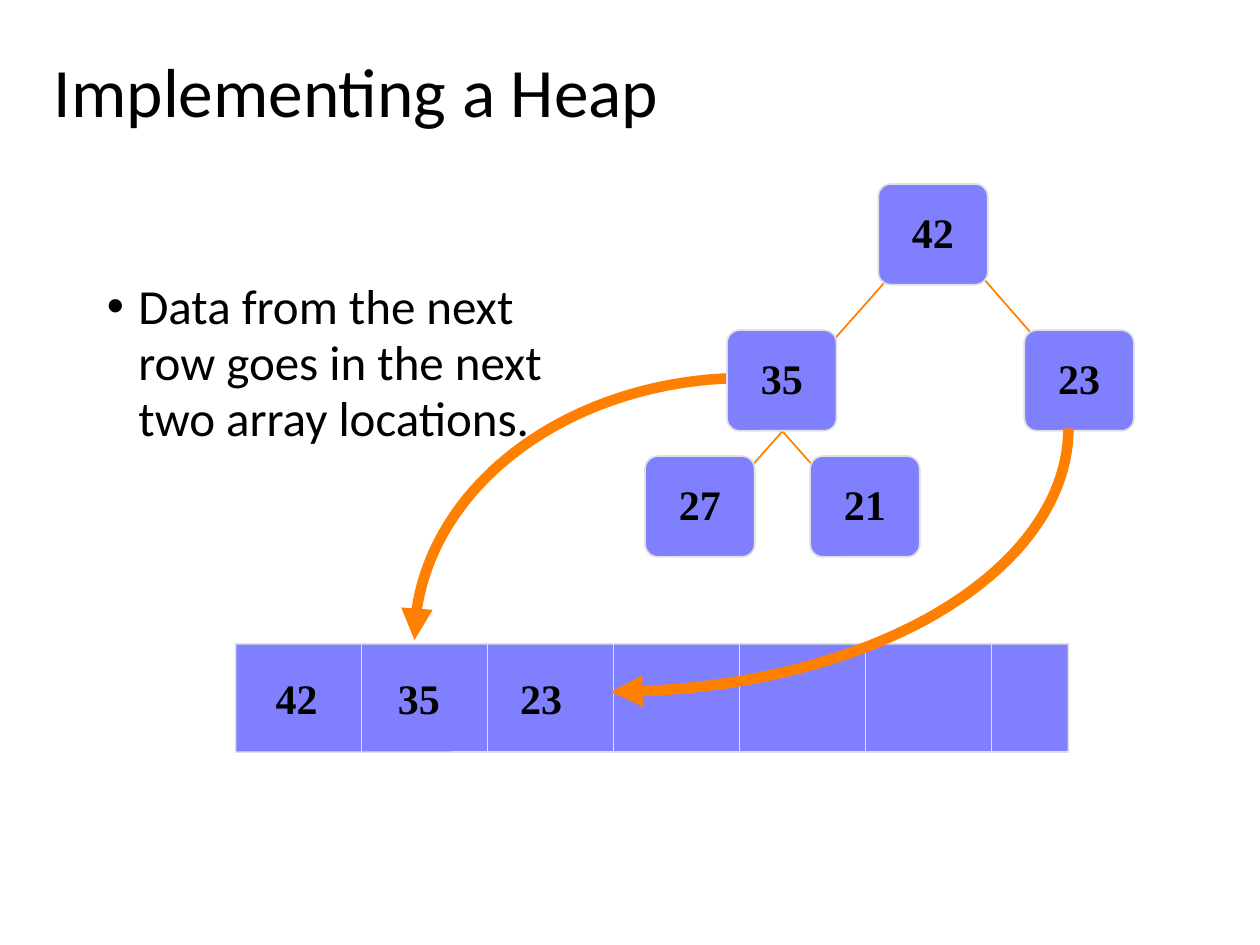
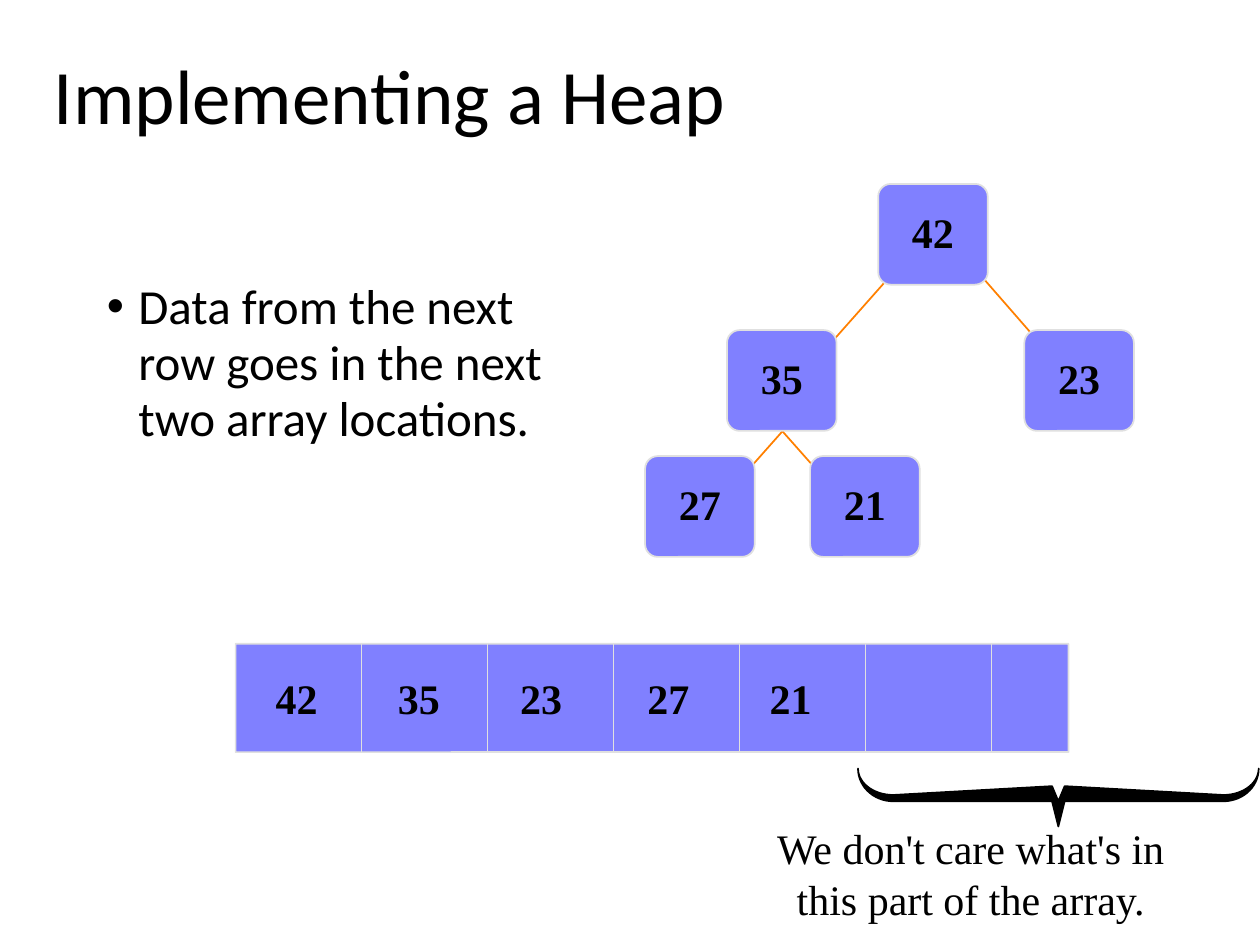
import math

import pptx
import pptx.dml.color
import pptx.enum.shapes
import pptx.enum.text
import pptx.oxml.ns
import pptx.util
from lxml import etree
from pptx.util import Inches

MSO_SHAPE = pptx.enum.shapes.MSO_SHAPE
PP_ALIGN = pptx.enum.text.PP_ALIGN
MSO_ANCHOR = pptx.enum.text.MSO_ANCHOR

BLACK = "000000"
ORANGE = "FF8000"
VIOLET = "8080FF"
PALE_GREY = "E0E0E0"
SANS = "Calibri"
SERIF = "Times New Roman"

NODE_WIDTH, NODE_HEIGHT = 0.87, 0.8
TREE_NODES = {"42": (6.97, 1.46), "35": (5.77, 2.62), "23": (8.13, 2.62),
              "27": (5.12, 3.62), "21": (6.43, 3.62)}
TREE_EDGES = [((7.04, 2.22), (6.42, 2.92)), ((7.77, 2.17), (8.38, 2.87)),
              ((6.39, 3.22), (5.77, 3.92)), ((6.03, 3.22), (6.65, 3.92))]

ARRAY_LEFT, ARRAY_TOP, ARRAY_WIDTH, ARRAY_HEIGHT = 1.87, 5.11, 6.61, 0.86
CELL_WIDTH = 1
LABEL_LEFTS = [2.09, 3.06, 4.03, 5.04, 6.01]


def color(hex_string):
    return pptx.dml.color.RGBColor.from_string(hex_string)


def add_element(parent, tag, **attributes):
    return etree.SubElement(parent, pptx.oxml.ns.qn(tag), attributes)


def arc_points(center, radii, start, end, steps=60):
    """Points on an ellipse; angles in degrees, clockwise from the right."""
    angles = [math.radians(start + (end - start) * step / steps) for step in range(steps + 1)]
    return [(center[0] + radii[0] * math.cos(angle), center[1] + radii[1] * math.sin(angle))
            for angle in angles]


class HeapDeck:
    """Holds the presentation, its style and the slide being drawn."""

    def __init__(self):
        self.presentation = pptx.Presentation()
        self.presentation.slide_width = Inches(10)
        self.presentation.slide_height = Inches(7.5)
        self.slide = None

    def new_slide(self):
        self.slide = self.presentation.slides.add_slide(self.presentation.slide_layouts[6])

    def add_text(self, paragraph, text, size, font=SERIF, bold=False, spacing=0.95):
        paragraph.line_spacing = spacing
        run = paragraph.add_run()
        run.text = text
        run.font.size = pptx.util.Pt(size)
        run.font.name = font
        run.font.bold = bold
        run.font.color.rgb = color(BLACK)

    def text_box(self, left, top, width, height, wrap=True):
        box = self.slide.shapes.add_textbox(
            Inches(left), Inches(top), Inches(width), Inches(height))
        box.text_frame.word_wrap = wrap
        return box.text_frame

    def title(self, text, height, size):
        frame = self.text_box(0.33, 0.38, 8.5, height)
        self.add_text(frame.paragraphs[0], text, size, SANS)

    def bullet(self, text):
        paragraph = self.text_box(0.75, 2.17, 3.72, 4.5).paragraphs[0]
        properties = paragraph._p.get_or_add_pPr()
        properties.set("marL", str(Inches(0.25)))
        properties.set("indent", str(Inches(-0.25)))
        add_element(properties, "a:buFont", typeface="Arial")
        add_element(properties, "a:buChar", char="•")
        self.add_text(paragraph, text, 28, SANS)

    def line(self, start, end, line_color):
        connector = self.slide.shapes.add_connector(
            pptx.enum.shapes.MSO_CONNECTOR.STRAIGHT,
            Inches(start[0]), Inches(start[1]), Inches(end[0]), Inches(end[1]))
        connector.line.color.rgb = color(line_color)
        connector.line.width = pptx.util.Pt(1)
        add_element(connector._element.spPr, "a:effectLst")

    def rounded_box(self, left, top, width, height, rounding):
        shape = self.slide.shapes.add_shape(
            MSO_SHAPE.ROUNDED_RECTANGLE,
            Inches(left), Inches(top), Inches(width), Inches(height))
        shape.adjustments[0] = rounding
        shape.shadow.inherit = False
        shape.fill.solid()
        shape.fill.fore_color.rgb = color(VIOLET)
        shape.line.color.rgb = color(PALE_GREY)
        shape.line.width = pptx.util.Pt(1)
        return shape

    def outline(self, points, line_color, width, closed):
        points = [(Inches(x), Inches(y)) for x, y in points]
        builder = self.slide.shapes.build_freeform(*points[0])
        builder.add_line_segments(points[1:], close=closed)
        shape = builder.convert_to_shape()
        shape.shadow.inherit = False
        shape.line.color.rgb = color(line_color)
        shape.line.width = pptx.util.Pt(width)
        return shape

    def curved_arrow(self, center, radii, start, end):
        arrow = self.outline(arc_points(center, radii, start, end), ORANGE, 6, False)
        arrow.fill.background()
        add_element(arrow.line._get_or_add_ln(), "a:tailEnd", type="triangle")

    def brace(self, middle, top):
        """A brace opening upwards, its right half mirrored about the middle."""
        corner = (middle + 1.31, top)
        right_half = [(middle, top + 0.46), (middle + 0.05, top + 0.26),
                      *arc_points(corner, (0.28, 0.26), 90, 0, 15),
                      *arc_points(corner, (0.28, 0.21), 0, 90, 15),
                      (middle + 0.05, top + 0.14), (middle, top + 0.26)]
        left_half = [(2 * middle - x, y) for x, y in reversed(right_half)]
        shape = self.outline(right_half + left_half[1:-1], BLACK, 1, True)
        shape.fill.solid()
        shape.fill.fore_color.rgb = color(BLACK)

    def tree(self):
        for start, end in TREE_EDGES:
            self.line(start, end, ORANGE)
        for value, (left, top) in TREE_NODES.items():
            node = self.rounded_box(left, top, NODE_WIDTH, NODE_HEIGHT, 0.126)
            frame = node.text_frame
            frame.vertical_anchor = MSO_ANCHOR.MIDDLE
            frame.paragraphs[0].alignment = PP_ALIGN.CENTER
            self.add_text(frame.paragraphs[0], value, 24, bold=True)

    def array(self, values):
        self.rounded_box(ARRAY_LEFT, ARRAY_TOP, ARRAY_WIDTH, ARRAY_HEIGHT, 0.002)
        for index in range(1, math.ceil(ARRAY_WIDTH / CELL_WIDTH)):
            x = ARRAY_LEFT + index * CELL_WIDTH
            self.line((x, ARRAY_TOP), (x, ARRAY_TOP + ARRAY_HEIGHT), PALE_GREY)
        for left, value in zip(LABEL_LEFTS, values):
            frame = self.text_box(left, 5.32, 0.53, 0.5, wrap=False)
            self.add_text(frame.paragraphs[0], value, 24, bold=True)

    def caption(self, lines):
        frame = self.text_box(5.6, 6.48, 4.21, 0.9)
        for index, text in enumerate(lines):
            paragraph = frame.add_paragraph() if index else frame.paragraphs[0]
            paragraph.alignment = PP_ALIGN.CENTER
            self.add_text(paragraph, text, 24, spacing=1.0)

    def heap_content(self, title_height, title_size, array_values):
        """The title, bullet, array and tree found on every slide."""
        self.title("Implementing a Heap", title_height, title_size)
        self.bullet("Data from the next row goes in the next two array locations.")
        self.array(array_values)
        self.tree()


def main():
    deck = HeapDeck()

    deck.new_slide()
    deck.curved_arrow((5.92, 5.08), (2.63, 2.08), 270, 180)
    deck.heap_content(0.65, 39.6, ["42", "35", "23"])
    deck.curved_arrow((4.85, 3.4), (3.63, 2.09), 0, 90)

    deck.new_slide()
    deck.heap_content(1.25, 44, ["42", "35", "23", "27", "21"])
    deck.brace(8.4, 6.1)
    deck.caption(["We don't care what's in", "this part of the array."])

    deck.presentation.save("out.pptx")


if __name__ == "__main__":
    main()
